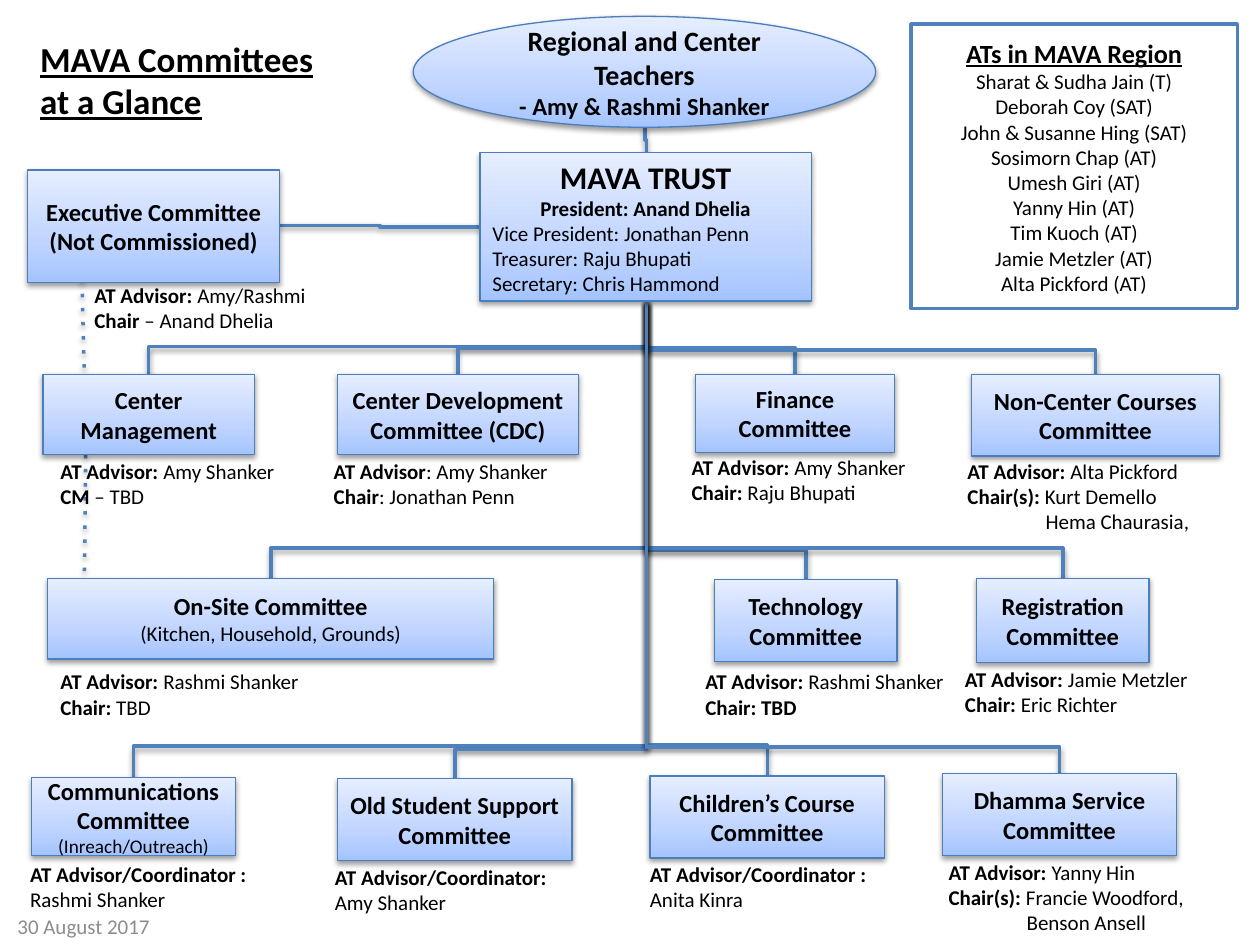
from copy import deepcopy
from dataclasses import dataclass

from lxml.etree import SubElement
from pptx import Presentation
from pptx.dml.color import RGBColor
from pptx.enum.shapes import MSO_CONNECTOR as Link, MSO_SHAPE as Preset
from pptx.enum.text import MSO_ANCHOR as Anchor, PP_ALIGN as Align
from pptx.oxml.ns import qn
from pptx.util import Emu, Inches, Pt

BLACK = RGBColor(0x00, 0x00, 0x00)
WHITE = RGBColor(0xFF, 0xFF, 0xFF)
GRAY = RGBColor(0x8C, 0x8C, 0x8C)
EDGE = RGBColor(0x4B, 0x7E, 0xBC)
LINE = RGBColor(0x4F, 0x81, 0xBD)
BLUES = [(0, RGBColor(0xA4, 0xC4, 0xFF)), (0.35, RGBColor(0xBF, 0xD4, 0xFF)),
         (1, RGBColor(0xE6, 0xEE, 0xFF))]

FORMATS = {
    "title": dict(size=Pt(20), bold=True, underline=True),
    "trust": dict(size=Pt(18), bold=True),
    "teachers": dict(size=Pt(16), bold=True),
    "region": dict(size=Pt(15), bold=True, underline=True),
    "name": dict(size=Pt(14), bold=True),
    "label": dict(size=Pt(12), bold=True),
    "body": dict(size=Pt(12), bold=False),
    "small": dict(size=Pt(11), bold=False),
}


@dataclass
class Line:
    """One paragraph: (text, format) runs, alignment and left indent in columns."""
    runs: list
    align: Align = Align.CENTER
    indent: float = 0


def line(text, style, align=Align.CENTER):
    """Make a paragraph of a single run."""
    return Line([(text, style)], align)


def note_lines(pairs):
    """Make label and value paragraphs; one without a label continues, indented."""
    return [Line([run for run in ((label, "label"), (value, "body")) if run[0]],
                 Align.LEFT, 0 if label else 6.2) for label, value in pairs]


class Chart:
    """Style and current slide, measured on a grid of 100 columns by 75 rows."""
    font = "Calibri"
    columns = 100

    def __init__(self, deck):
        """Add a blank slide to the deck."""
        self.slide = deck.slides.add_slide(deck.slide_layouts[6])
        self.cell = deck.slide_width / self.columns

    def units(self, *lengths):
        """Turn grid lengths into slide units."""
        return [Emu(round(length * self.cell)) for length in lengths]

    def fill_text(self, shape, lines, anchor, color=BLACK):
        """Fill a shape with paragraphs."""
        frame = shape.text_frame
        frame.word_wrap = True
        frame.vertical_anchor = anchor
        for index, entry in enumerate(lines):
            paragraph = frame.add_paragraph() if index else frame.paragraphs[0]
            paragraph.alignment = entry.align
            if entry.indent:
                paragraph._p.get_or_add_pPr().set("marL", str(self.units(entry.indent)[0]))
            for text, style in entry.runs:
                run = paragraph.add_run()
                run.text = text
                for name, value in {"name": self.font, **FORMATS[style]}.items():
                    setattr(run.font, name, value)
                run.font.color.rgb = color

    def shade(self, shape):
        """Give a shape or connector a soft shadow below it."""
        effects = SubElement(shape._element.spPr, qn("a:effectLst"))
        shadow = SubElement(effects, qn("a:outerShdw"), blurRad="40000", dist="20000",
                            dir="5400000", rotWithShape="0")
        tone = SubElement(shadow, qn("a:srgbClr"), val="000000")
        SubElement(tone, qn("a:alpha"), val="38000")

    def box(self, place, lines, preset=Preset.RECTANGLE):
        """Draw a shaded box with a blue gradient."""
        shape = self.slide.shapes.add_shape(preset, *self.units(*place))
        shape.fill.gradient()
        shape.fill.gradient_angle = 90
        stops = shape._element.spPr.find(".//" + qn("a:gsLst"))
        stops.append(deepcopy(stops[0]))
        for stop, (position, color) in zip(shape.fill.gradient_stops, BLUES):
            stop.position = position
            stop.color.rgb = color
        shape.line.color.rgb = EDGE
        shape.line.width = Pt(0.75)
        self.shade(shape)
        self.fill_text(shape, lines, Anchor.MIDDLE)

    def panel(self, place, lines):
        """Draw a plain white panel with a blue outline."""
        shape = self.slide.shapes.add_shape(Preset.RECTANGLE, *self.units(*place))
        shape.shadow.inherit = False
        shape.fill.solid()
        shape.fill.fore_color.rgb = WHITE
        shape.line.color.rgb = LINE
        shape.line.width = Pt(2)
        self.fill_text(shape, lines, Anchor.MIDDLE)

    def text(self, place, lines, anchor=Anchor.TOP, color=BLACK):
        """Add free text."""
        self.fill_text(self.slide.shapes.add_textbox(*self.units(*place)), lines, anchor, color)

    def link(self, start, end, kind=Link.ELBOW, dotted=False):
        """Draw a connector between two points."""
        connector = self.slide.shapes.add_connector(kind, *self.units(*start, *end))
        connector.line.color.rgb = LINE
        connector.line.width = Pt(2)
        if dotted:
            SubElement(connector.line._get_or_add_ln(), qn("a:prstDash"), val="dot")
        self.shade(connector)
        return connector

    def branch(self, start, end, bus):
        """Draw an elbow that goes down to the bus row, across, and down again."""
        (x1, y1), (x2, y2) = start, end
        drop, reach = y2 - y1, abs(x2 - x1)
        left, right = (x1 + x2 - drop) / 2, (x1 + x2 + drop) / 2
        top = (y1 + y2 - reach) / 2
        rightward = x2 > x1
        if rightward:
            left, right = right, left
        connector = self.link((left, top), (right, top + reach))
        properties = connector._element.spPr
        properties.find(qn("a:xfrm")).set("rot", "16200000" if rightward else "5400000")
        geometry = properties.find(qn("a:prstGeom"))
        guides = geometry.find(qn("a:avLst"))
        if guides is None:
            guides = SubElement(geometry, qn("a:avLst"))
        share = round((bus - y1) / drop * 100000)
        SubElement(guides, qn("a:gd"), name="adj1", fmla=f"val {share}")


ADVISOR, CHAIR, COORDINATOR = "AT Advisor: ", "Chair: ", "AT Advisor/Coordinator :"
# box, name, detail lines, bus row, note place, note
COMMITTEES = [
    ((3.4, 29.7, 16.8, 6.4), "Center Management", [], 27.5, (3.8, 35.9, 19.8, 5),
     [(ADVISOR, "Amy Shanker"), ("CM", " – TBD")]),
    ((26.8, 29.7, 19.1, 6.4), "Center Development Committee (CDC)", [], 27.6,
     (25.5, 35.9, 23.2, 5), [("AT Advisor", ": Amy Shanker"), ("Chair", ": Jonathan Penn")]),
    ((55.2, 29.7, 15.8, 6.2), "Finance Committee", [], 27.6, (53.9, 35.6, 19.4, 5),
     [(ADVISOR, "Amy Shanker"), (CHAIR, "Raju Bhupati")]),
    ((77.1, 29.7, 19.7, 6.5), "Non-Center Courses Committee", [], 27.8, (75.8, 35.9, 22, 7.1),
     [(ADVISOR, "Alta Pickford"), ("Chair(s): ", "Kurt Demello"), ("", "Hema Chaurasia,")]),
    ((3.8, 45.9, 35.4, 6.4), "On-Site Committee",
     [line("(Kitchen, Household, Grounds)", "body")], 43.5, (3.8, 52.6, 23.2, 5),
     [(ADVISOR, "Rashmi Shanker"), (CHAIR, "TBD")]),
    ((56.7, 46, 14.5, 6.5), "Technology Committee", [], 43.7, (55, 52.6, 21.3, 5),
     [(ADVISOR, "Rashmi Shanker"), ("Chair: TBD", "")]),
    ((77.5, 45.9, 13.7, 6.7), "Registration Committee", [], 43.5, (75.6, 52.4, 22.2, 5),
     [(ADVISOR, "Jamie Metzler"), (CHAIR, "Eric Richter")]),
    ((2.5, 61.7, 16.2, 6.2), "Communications Committee",
     [line("(Inreach/Outreach)", "small")], 59.2, (1.4, 67.9, 20, 5),
     [(COORDINATOR, ""), ("", "Rashmi Shanker")]),
    ((26.8, 61.8, 18.6, 6.5), "Old Student Support Committee", [], 59.5, (25.6, 68.1, 20, 5),
     [("AT Advisor/Coordinator:", ""), ("", "Amy Shanker")]),
    ((51.6, 61.6, 18.6, 6.5), "Children’s Course Committee", [], 59.1, (50.6, 67.9, 20, 5),
     [(COORDINATOR, ""), ("", "Anita Kinra")]),
    ((74.8, 61.4, 18.6, 6.5), "Dhamma Service Committee", [], 59.3, (74.3, 67.7, 21.3, 7.1),
     [(ADVISOR, "Yanny Hin"), ("Chair(s): ", "Francie Woodford,"), ("", "Benson Ansell")]),
]
TEACHERS = ["Sharat & Sudha Jain (T)", "Deborah Coy (SAT)", "John & Susanne Hing (SAT)",
            "Sosimorn Chap (AT)", "Umesh Giri (AT)", "Yanny Hin (AT)", "Tim Kuoch (AT)",
            "Jamie Metzler (AT)", "Alta Pickford (AT)"]
OFFICERS = ["Vice President: Jonathan Penn", "Treasurer: Raju Bhupati",
            "Secretary: Chris Hammond"]
TRUNK = (51.3, 23.9)

deck = Presentation()
deck.slide_width, deck.slide_height = Inches(10), Inches(7.5)
chart = Chart(deck)

for (left, top, width, _), _, _, bus, _, _ in COMMITTEES:
    chart.branch(TRUNK, (left + width / 2, top), bus)
chart.branch((51.2, 10.1), (51.3, 12.1), 11.1)
chart.link((38.1, 18), (22.2, 17.9))
for start, end in [((6.8, 36.1), (6.7, 46)), ((6.5, 22.2), (6.7, 30))]:
    chart.link(start, end, Link.STRAIGHT, dotted=True)

chart.box((32.8, 1.3, 36.7, 8.8), [line("Regional and Center Teachers", "teachers"),
                                   line("- Amy & Rashmi Shanker", "name")], Preset.OVAL)
chart.box((38.1, 12.1, 26.3, 11.8),
          [line("MAVA TRUST", "trust"), line("President: Anand Dhelia", "label")]
          + [line(officer, "body", Align.LEFT) for officer in OFFICERS])
chart.box((2.2, 13.5, 20, 8.9), [line("Executive Committee", "name"),
                                 line("(Not Commissioned)", "name")])
chart.text((6.5, 21.9, 19.9, 5), note_lines([(ADVISOR, "Amy/Rashmi"),
                                            ("Chair", " – Anand Dhelia")]))
for place, name, details, _, note_place, note in COMMITTEES:
    chart.box(place, [line(name, "name")] + details)
    notes = note_lines(note)
    if note[0][0].startswith("AT Advisor/"):
        notes[1].indent = 0
    chart.text(note_place, notes)

chart.panel((72.3, 1.9, 25.9, 22.6), [line("ATs in MAVA Region", "region")]
            + [line(teacher, "body") for teacher in TEACHERS])
chart.text((2.2, 2.5, 25, 7.7), [line("MAVA Committees", "title", Align.LEFT),
                                 line("at a Glance", "title", Align.LEFT)])
chart.text((0.4, 71.5, 23.3, 4), [line("30 August 2017", "body", Align.LEFT)],
           Anchor.MIDDLE, GRAY)
deck.save("out.pptx")
